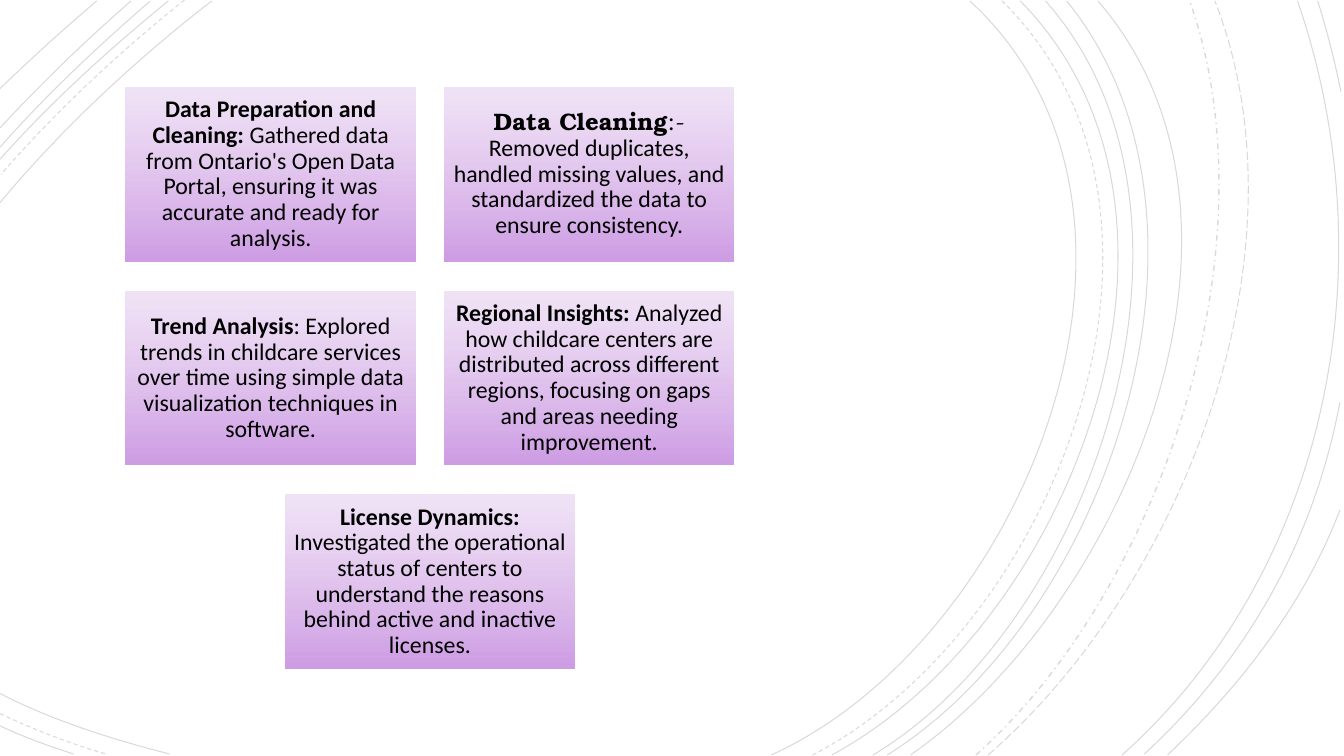
from pptx import Presentation
from pptx.dml.color import RGBColor
from pptx.enum.dml import MSO_LINE_DASH_STYLE as Dash
from pptx.enum.shapes import MSO_SHAPE as Preset
from pptx.enum.text import MSO_ANCHOR as Anchor, PP_ALIGN as Align
from pptx.oxml.xmlchemy import OxmlElement
from pptx.util import Inches, Pt

BLACK = RGBColor(0x00, 0x00, 0x00)
PALE_VIOLET = RGBColor(0xE7, 0xD1, 0xF1)
VIOLET = RGBColor(0xCA, 0x94, 0xE2)
BODY_FONT = "Calibri"
SERIF_FONT = "TeX Gyre Bonum"

CARD_WIDTH, CARD_HEIGHT = 2.87, 1.72
CARD_LEFT, CARD_TOP = 1.25, 0.87
COLUMN_STEP, ROW_STEP = 3.16, 2.02
COLUMNS = 2

# Each card is a list of spans: text, font, bold
CARDS = [
    [("Data Preparation and Cleaning: ", BODY_FONT, True),
     ("Gathered data from Ontario's Open Data Portal, ensuring it was accurate "
      "and ready for analysis.", BODY_FONT, False)],
    [("Data Cleaning", SERIF_FONT, True),
     (":- ", SERIF_FONT, False),
     ("Removed duplicates, handled missing values, and standardized the data "
      "to ensure consistency.", BODY_FONT, False)],
    [("Trend Analysis", BODY_FONT, True),
     (": Explored trends in childcare services over time using simple data "
      "visualization techniques in software.", BODY_FONT, False)],
    [("Regional Insights: ", BODY_FONT, True),
     ("Analyzed how childcare centers are distributed across different regions, "
      "focusing on gaps and areas needing improvement.", BODY_FONT, False)],
    [("License Dynamics: ", BODY_FONT, True),
     ("Investigated the operational status of centers to understand the reasons "
      "behind active and inactive licenses.", BODY_FONT, False)],
]

# Each arc: start, two control points, end
SOLID_ARCS = [
    [(7.65, 7.49), (10.16, 6.35), (11.88, 2.09), (9.62, 0.01)],
    [(0, 6.88), (0.52, 7.15), (1.13, 7.34), (1.68, 7.48)],
    [(2.1, 0.01), (1.34, 0.6), (0.62, 1.27), (0, 2.01)],
    [(8.25, 7.49), (10.61, 6.22), (12.21, 2.13), (10.12, 0.01)],
    [(0, 7.2), (0.23, 7.31), (0.48, 7.4), (0.73, 7.48)],
    [(1.67, 0.01), (1.08, 0.49), (0.51, 1.01), (0, 1.58)],
    [(8.66, 7.49), (10.87, 6.16), (12.21, 2.08), (10.37, 0.01)],
    [(1.49, 0.01), (0.97, 0.46), (0.46, 0.94), (0, 1.46)],
    [(8.8, 7.49), (11, 6.12), (12.33, 2.16), (10.58, 0.01)],
    [(1.3, 0.01), (0.84, 0.41), (0.41, 0.83), (0, 1.27)],
    [(9.03, 7.49), (11.13, 6.03), (12.78, 2.2), (10.89, 0.01)],
    [(0.96, 0.01), (0.63, 0.29), (0.31, 0.58), (0, 0.88)],
    [(11.13, 7.49), (13.2, 5.64), (13.76, 2.59), (12.87, 0.01)],
    [(11.35, 7.48), (12.38, 6.53), (13.03, 5.36), (13.29, 3.99)],
    [(13.3, 0.91), (13.24, 0.61), (13.16, 0.3), (13.07, 0.01)],
    [(11.58, 7.49), (12.31, 6.8), (12.93, 6), (13.29, 5.06)],
]
DASHED_ARCS = [
    [(8.06, 7.49), (10.46, 6.25), (12.08, 2.12), (9.94, 0.01)],
    [(0, 7.08), (0.34, 7.24), (0.7, 7.38), (1.05, 7.48)],
    [(1.83, 0), (1.18, 0.52), (0.56, 1.1), (0.01, 1.73)],
]
DASH_DOT_ARCS = [[(9.68, 7.49), (11.54, 5.83), (12.65, 2.41), (11.8, 0.01)]]
LONG_DASH_ARCS = [[(9.8, 7.49), (11.73, 5.81), (13.02, 2.51), (12.05, 0.01)]]

ARC_STYLES = [
    (SOLID_ARCS, Dash.SOLID, 0.75),
    (DASHED_ARCS, Dash.DASH, 0.75),
    (DASH_DOT_ARCS, Dash.DASH_DOT, 1),
    (LONG_DASH_ARCS, Dash.LONG_DASH, 0.75),
]


def set_opacities(shape, *percents):
    """Give the shape's RGB colours, in document order, these opacities."""
    for color, percent in zip(shape._element.xpath("./p:spPr//a:srgbClr"), percents):
        alpha = OxmlElement("a:alpha")
        alpha.set("val", str(percent * 1000))
        color.append(alpha)


def add_arc(slide, points, dash, width):
    """Draw a Bezier arc: the polygon of its points, bent into one curve."""
    start, *others = [(Inches(x), Inches(y)) for x, y in points]
    builder = slide.shapes.build_freeform(*start)
    builder.add_line_segments(others, close=False)
    arc = builder.convert_to_shape()
    segments = arc._element.xpath(".//a:lnTo")
    curve = OxmlElement("a:cubicBezTo")
    segments[0].addprevious(curve)
    for segment in segments:
        curve.append(segment[0])
        segment.getparent().remove(segment)
    arc.shadow.inherit = False
    arc.fill.background()
    arc.line.color.rgb = BLACK
    arc.line.width = Pt(width)
    arc.line.dash_style = dash
    set_opacities(arc, 15)


def add_card(slide, left, top, spans):
    card = slide.shapes.add_shape(Preset.RECTANGLE, Inches(left), Inches(top),
                                  Inches(CARD_WIDTH), Inches(CARD_HEIGHT))
    card.shadow.inherit = False
    card.line.fill.background()
    card.fill.gradient()
    card.fill.gradient_angle = 270
    for stop, color in zip(card.fill.gradient_stops, (PALE_VIOLET, VIOLET)):
        stop.color.rgb = color
    set_opacities(card, 60, 92)

    frame = card.text_frame
    frame.word_wrap = True
    frame.vertical_anchor = Anchor.MIDDLE
    frame.margin_left = frame.margin_right = Inches(0.07)
    frame.margin_top = frame.margin_bottom = Inches(0.07)
    para = frame.paragraphs[0]
    para.alignment = Align.CENTER
    para.line_spacing = 0.9
    for text, font_name, bold in spans:
        span = para.add_run()
        span.text = text
        span.font.name = font_name
        span.font.size = Pt(17)
        span.font.bold = bold
        span.font.color.rgb = BLACK


def add_cards(slide):
    """Lay the cards out in rows, centring a row that is not full."""
    for index, spans in enumerate(CARDS):
        row, column = divmod(index, COLUMNS)
        in_row = min(COLUMNS, len(CARDS) - row * COLUMNS)
        shift = column + (COLUMNS - in_row) / 2
        add_card(slide, CARD_LEFT + shift * COLUMN_STEP,
                 CARD_TOP + row * ROW_STEP, spans)


def main():
    deck = Presentation()
    deck.slide_width, deck.slide_height = Inches(13.33), Inches(7.5)
    slide = deck.slides.add_slide(deck.slide_layouts[6])
    for arcs, dash, width in ARC_STYLES:
        for points in arcs:
            add_arc(slide, points, dash, width)
    add_cards(slide)
    deck.save("out.pptx")


if __name__ == "__main__":
    main()
